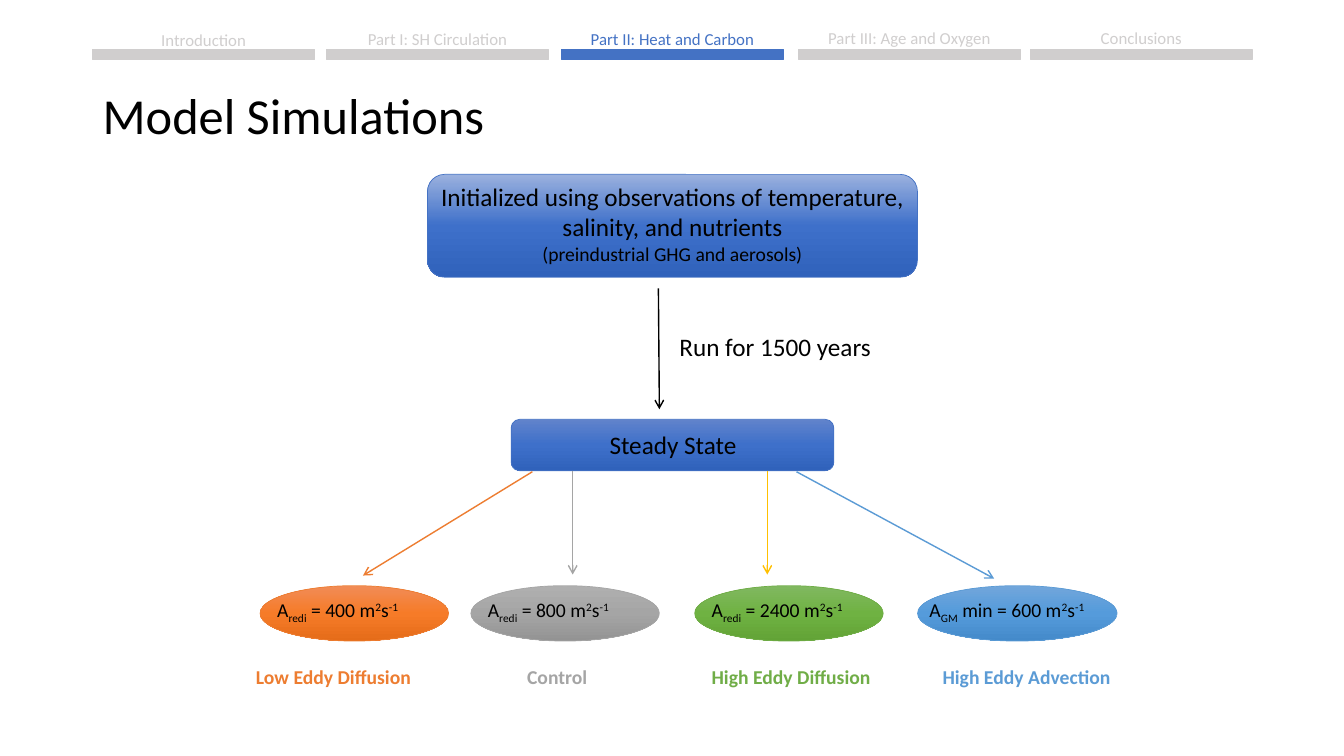
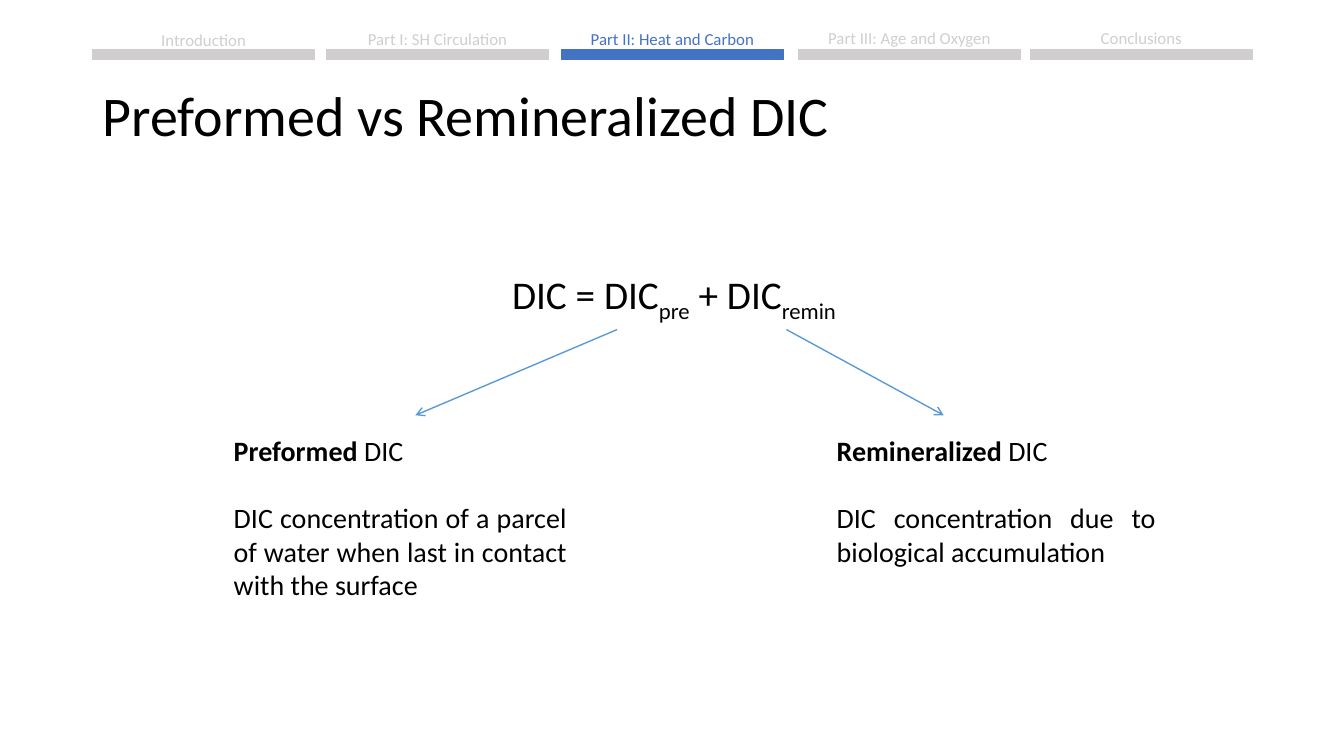
import copy

from pptx import Presentation
from pptx import util as u
from pptx.dml.color import RGBColor
from pptx.enum import shapes, text
from pptx.oxml.ns import qn
from pptx.oxml.xmlchemy import OxmlElement

PX = 9144  # 100 px to the inch
FONT = "Calibri"
BLACK = RGBColor(0x00, 0x00, 0x00)
PALE = RGBColor(0xD0, 0xCE, 0xCE)
BLUE = RGBColor(0x44, 0x72, 0xC4)
ORANGE = RGBColor(0xED, 0x7D, 0x31)
GRAY = RGBColor(0xA5, 0xA5, 0xA5)
GOLD = RGBColor(0xFF, 0xC0, 0x00)
GREEN = RGBColor(0x70, 0xAD, 0x47)
SKY = RGBColor(0x5B, 0x9B, 0xD5)

LIGHT_BLUE = RGBColor(0x9B, 0xB1, 0xDE)
BLUE_SHADES = (RGBColor(0x61, 0x83, 0xCB), RGBColor(0x3E, 0x70, 0xCA), RGBColor(0x30, 0x62, 0xBB))
ORANGE_SHADES = (RGBColor(0xF1, 0x8C, 0x57), RGBColor(0xF6, 0x7B, 0x28), RGBColor(0xE5, 0x6C, 0x19))
GRAY_SHADES = (RGBColor(0xAF, 0xAF, 0xAF), GRAY, RGBColor(0x93, 0x93, 0x93))
GREEN_SHADES = (RGBColor(0x81, 0xB8, 0x61), RGBColor(0x6F, 0xB2, 0x42), RGBColor(0x62, 0xA3, 0x36))
SKY_SHADES = (RGBColor(0x71, 0xA6, 0xDB), RGBColor(0x55, 0x9B, 0xDB), RGBColor(0x44, 0x8A, 0xCA))

# Run properties
PLAIN = {}
BOLD = {"b": "1"}
SMALL = {"sz": "1400"}
SUB = {"baseline": "-25000"}
SUP = {"baseline": "30000"}

LEFT, CENTER, JUSTIFY = text.PP_ALIGN.LEFT, text.PP_ALIGN.CENTER, text.PP_ALIGN.JUSTIFY
ROUNDED, OVAL = shapes.MSO_SHAPE.ROUNDED_RECTANGLE, shapes.MSO_SHAPE.OVAL


def add_text(page, at, paragraphs, size, color=BLACK, align=LEFT):
    """Add a text box; each paragraph is a list of (words, run properties)."""
    box = page.shapes.add_textbox(*(n * PX for n in at))
    frame = box.text_frame
    frame.word_wrap = True
    for i, spans in enumerate(paragraphs):
        para = frame.paragraphs[0] if i == 0 else frame.add_paragraph()
        para.alignment = align
        for words, properties in spans:
            span = para.add_run()
            span.text = words
            span.font.name = FONT
            span.font.size = u.Pt(size)
            span.font.color.rgb = color
            for name, value in properties.items():
                span.font._element.set(name, value)
    return frame


def add_arrow(page, start, end, color):
    arrow = page.shapes.add_connector(
        shapes.MSO_CONNECTOR.STRAIGHT, *(n * PX for n in start + end))
    arrow.line.color.rgb = color
    arrow.line.width = u.Pt(1)
    head = OxmlElement("a:tailEnd")
    head.set("type", "arrow")
    arrow.line._get_or_add_ln().append(head)
    arrow._element.spPr.append(OxmlElement("a:effectLst"))


deck = Presentation()
deck.slide_width = 1333 * PX
deck.slide_height = 750 * PX

# Shared navigation band and title
sections = [
    ("Introduction", 92, 25),
    ("Part I: SH Circulation", 324, 24),
    ("Part II: Heat and Carbon", 557, 24),
    ("Part III: Age and Oxygen", 792, 23),
    ("Conclusions", 1022, 23),
]
current = "Part II: Heat and Carbon"
pages = []
for title, title_size in [("Model Simulations", 36), ("Preformed vs Remineralized DIC", 40)]:
    page = deck.slides.add_slide(deck.slide_layouts[6])
    pages.append(page)
    for section, left, top in sections:
        color = BLUE if section == current else PALE
        bar = page.shapes.add_shape(
            shapes.MSO_SHAPE.RECTANGLE, left * PX, 49 * PX, 220 * PX, 10 * PX)
        bar.shadow.inherit = False
        bar.fill.solid()
        bar.fill.fore_color.rgb = color
        bar.line.color.rgb = color
        bar.line.width = u.Pt(1)
        add_text(page, (left, top, 220, 30), [[(section, PLAIN)]], 12, color, CENTER)
    frame = add_text(page, (92, 79, 1150, 77), [[(title, PLAIN)]], title_size)
    frame.vertical_anchor = text.MSO_ANCHOR.MIDDLE
    frame.paragraphs[0].line_spacing = 0.9

simulations, carbon = pages

# Model simulations: boxes and ellipses
nodes = [
    (ROUNDED, (424, 173, 486, 102), (LIGHT_BLUE,) + BLUE_SHADES[1:], BLUE),
    (ROUNDED, (507, 416, 320, 51), BLUE_SHADES, BLUE),
    (OVAL, (258, 581, 187, 55), ORANGE_SHADES, ORANGE),
    (OVAL, (467, 581, 187, 55), GRAY_SHADES, GRAY),
    (OVAL, (689, 581, 187, 55), GREEN_SHADES, GREEN),
    (OVAL, (910, 581, 198, 55), SKY_SHADES, SKY),
]
for kind, at, shades, outline in nodes:
    node = simulations.shapes.add_shape(kind, *(n * PX for n in at))
    node.shadow.inherit = False
    node.line.color.rgb = outline
    node.line.width = u.Pt(0.5)
    node.fill.gradient()
    node.fill.gradient_angle = 270
    stop_list = node._element.spPr.find(".//" + qn("a:gsLst"))
    stop_list.append(copy.deepcopy(stop_list[0]))
    for stop, position, shade in zip(node.fill.gradient_stops, (0, 0.5, 1), shades):
        stop.position = position
        stop.color.rgb = shade

add_text(simulations, (424, 175, 486, 94), [
    [("Initialized using observations of temperature, salinity, and nutrients", PLAIN)],
    [("(preindustrial GHG and aerosols)", SMALL)],
], 18, align=CENTER)
add_text(simulations, (664, 324, 242, 40), [[("Run for 1500 years", PLAIN)]], 18)
add_text(simulations, (509, 421, 317, 40), [[("Steady State", PLAIN)]], 18, align=CENTER)

for start, end, color in [
    ((653, 286), (654, 406), BLACK),
    ((528, 468), (360, 571), ORANGE),
    ((568, 467), (568, 570), GRAY),
    ((761, 467), (761, 570), GOLD),
    ((790, 468), (986, 574), SKY),
]:
    add_arrow(simulations, start, end, color)

for left, index, value, name, name_left, color in [
    (265, "redi", " = 400 m", "Low Eddy Diffusion", 244, ORANGE),
    (474, "redi", " = 800 m", "Control", 513, GRAY),
    (696, "redi", " = 2400 m", "High Eddy Diffusion", 696, GREEN),
    (912, "GM", " min = 600 m", "High Eddy Advection", 925, SKY),
]:
    formula = [("A", PLAIN), (index, SUB), (value, PLAIN), ("2", SUP), ("s", PLAIN), ("-1", SUP)]
    add_text(simulations, (left, 588, 242, 34), [formula], 14)
    add_text(simulations, (name_left, 655, 203, 34), [[(name, BOLD)]], 14, color)

# Preformed and remineralized carbon
equation = [("DIC = DIC", PLAIN), ("pre", SUB), (" + DIC", PLAIN), ("remin", SUB)]
add_text(carbon, (498, 263, 361, 57), [equation], 28)

for start, end, at, term, meaning in [
    ((612, 327), (412, 412), (222, 425, 350, 178), "Preformed ",
     "DIC concentration of a parcel of water when last in contact with the surface"),
    ((780, 327), (936, 412), (820, 425, 336, 145), "Remineralized ",
     "DIC concentration due to biological accumulation"),
]:
    add_arrow(carbon, start, end, SKY)
    frame = add_text(carbon, at, [[(term, BOLD), ("DIC", PLAIN)], [(meaning, PLAIN)]],
                     20, align=JUSTIFY)
    frame.paragraphs[0].alignment = LEFT
    frame.paragraphs[1].space_before = u.Pt(24)

deck.save("out.pptx")
